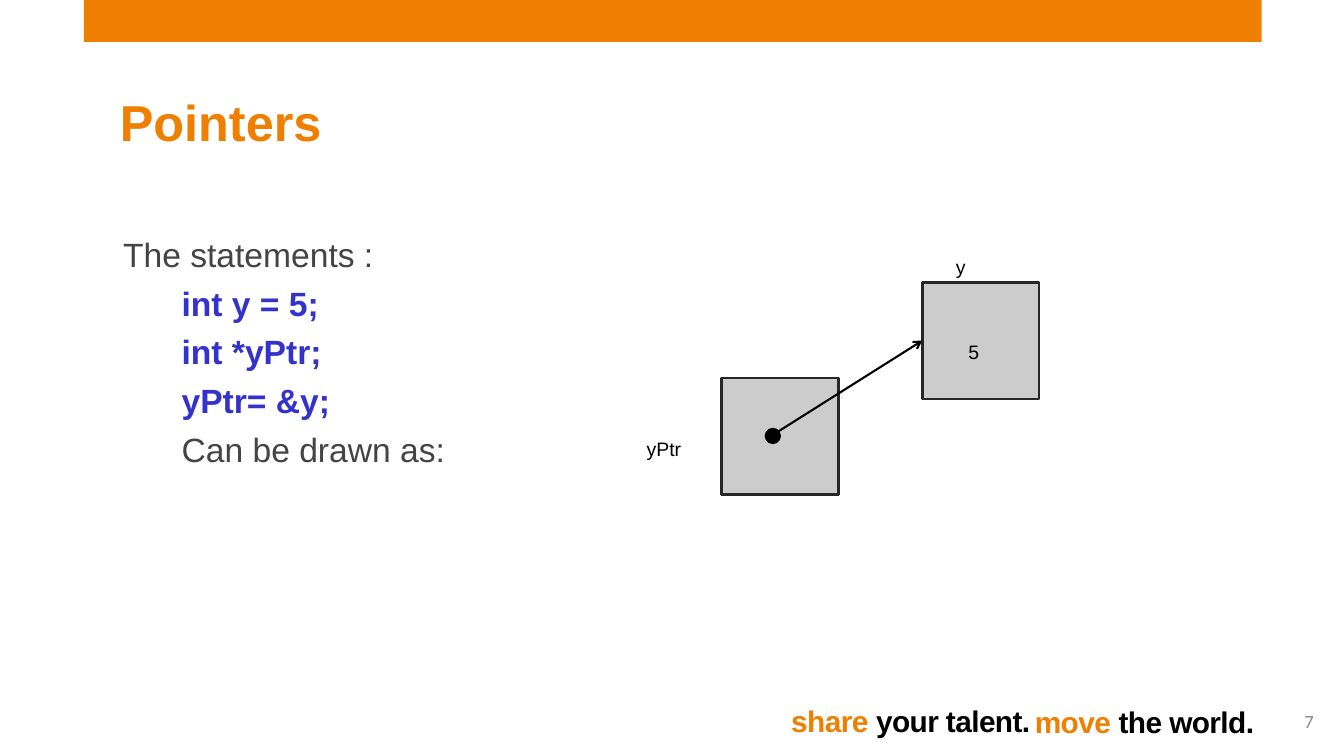
import pptx
import pptx.util
import pptx.dml.color
import pptx.enum.shapes
import pptx.enum.text
import pptx.oxml.ns
import lxml.etree

# Content: places are (left, top, width, height) on a grid of 160 columns by 90 rows
COLUMNS, ROWS = 160, 90
ORANGE, BLACK, GREY, BLUE = "EE7F00", "000000", "444444", "3333CC"

BAR = (10, 0, 140.2, 5)
TITLE = ("Pointers", (13.1, 10.1, 136.2, 8.5))
STATEMENTS_PLACE = (13.1, 27, 137.5, 53.9)
STATEMENTS = [  # text, indent in inches, colour, bold
    ("The statements :", 0, GREY, False),
    ("int y = 5;", 0.58, BLUE, True),
    ("int *yPtr;", 0.58, BLUE, True),
    ("yPtr= &y;", 0.58, BLUE, True),
    ("Can be drawn as:", 0.58, GREY, False),
]
TAGLINES = [
    ("share ", "your talent.", (94.2, 82.9, 30, 5)),
    ("move ", "the world.", (123.2, 82.9, 27.4, 5.1)),
]
CELL = 13.9
POINTER_CELL = (85.9, 45, CELL, CELL)
VALUE_CELL = (109.8, 33.6, CELL, CELL)
DOT = (91.2, 51.1, 1.6, 1.6)
ARROW_START = (92.6, 51.4)
LABELS = [
    ("yPtr", (75.8, 48.7, 7.2, 4.4)),
    ("y", (112.6, 27.1, 3.7, 4.4)),
    ("5", (114.1, 37.2, 4, 4.4)),
]
PAGE = ("7", (150.6, 83.4, 5.8, 4.8))

deck = pptx.Presentation()
deck.slide_width = pptx.util.Inches(13.33)
deck.slide_height = pptx.util.Inches(7.5)
slide = deck.slides.add_slide(deck.slide_layouts[6])

ANCHOR = pptx.enum.text.MSO_ANCHOR
SHAPE = pptx.enum.shapes.MSO_SHAPE


def color(value):
    return pptx.dml.color.RGBColor.from_string(value)


def place(box):
    """Turn grid columns and rows into slide lengths."""
    units = (deck.slide_width / COLUMNS, deck.slide_height / ROWS)
    return [round(length * units[i % 2]) for i, length in enumerate(box)]


def add_block(kind, box, fill, line=None):
    block = slide.shapes.add_shape(kind, *place(box))
    block.shadow.inherit = False
    block.fill.solid()
    block.fill.fore_color.rgb = color(fill)
    if line:
        block.line.color.rgb = color(line)
        block.line.width = pptx.util.Pt(2)
    else:
        block.line.fill.background()
    return block


def add_text(box, anchor=ANCHOR.TOP, insets=(0.1, 0.05), wrap=True):
    frame = slide.shapes.add_textbox(*place(box)).text_frame
    frame.word_wrap = wrap
    frame.vertical_anchor = anchor
    frame.margin_left = frame.margin_right = pptx.util.Inches(insets[0])
    frame.margin_top = frame.margin_bottom = pptx.util.Inches(insets[1])
    return frame


def add_run(paragraph, text, size, fill, bold=False, font="Arial", **attributes):
    run = paragraph.add_run()
    run.text = text
    run.font.size = pptx.util.Pt(size)
    run.font.name = font
    run.font.bold = bold
    run.font.color.rgb = color(fill)
    for key, value in attributes.items():
        run.font._element.set(key, value)


# Tagline and top bar
for verb, rest, box in TAGLINES:
    words = add_text(box, ANCHOR.BOTTOM, (0, 0)).paragraphs[0]
    words.line_spacing = pptx.util.Pt(24)
    add_run(words, verb, 21.3, ORANGE, True, spc="-40")
    add_run(words, rest, 21.3, BLACK, True, spc="-40")
add_block(SHAPE.RECTANGLE, BAR, ORANGE)

# Title and statements
heading, box = TITLE
add_run(add_text(box, ANCHOR.BOTTOM).paragraphs[0], heading, 36, ORANGE, True)

statements = add_text(STATEMENTS_PLACE, insets=(0.13, 0.07))
for i, (text, indent, fill, bold) in enumerate(STATEMENTS):
    statement = statements.add_paragraph() if i else statements.paragraphs[0]
    statement.space_before = pptx.util.Pt(6)
    properties = statement._p.get_or_add_pPr()
    properties.set("marL", str(pptx.util.Inches(indent)))
    properties.set("indent", "0")
    add_run(statement, text, 24, fill, bold)

# Memory cells with their labels
add_block(SHAPE.RECTANGLE, POINTER_CELL, "CCCCCC", "262626")
add_block(SHAPE.OVAL, DOT, BLACK, BLACK)
value_cell = add_block(SHAPE.RECTANGLE, VALUE_CELL, "CCCCCC", "262626")
for text, box in LABELS:
    label = add_text(box, wrap=False)
    label.auto_size = pptx.enum.text.MSO_AUTO_SIZE.SHAPE_TO_FIT_TEXT
    add_run(label.paragraphs[0], text, 24, BLACK, baseline="-25000")

# Arrow from the pointer to the value
start = place(ARROW_START)
arrow = slide.shapes.add_connector(
    pptx.enum.shapes.MSO_CONNECTOR.STRAIGHT, *start, *start)
arrow.end_connect(value_cell, 1)
arrow.line.color.rgb = color(BLACK)
arrow.line.width = pptx.util.Pt(1.5)
qn = pptx.oxml.ns.qn
lxml.etree.SubElement(arrow.line._get_or_add_ln(), qn("a:tailEnd"), type="arrow")
lxml.etree.SubElement(arrow._element.spPr, qn("a:effectLst"))

# Page number
number, box = PAGE
page = add_text(box, ANCHOR.MIDDLE, (0, 0)).paragraphs[0]
page.alignment = pptx.enum.text.PP_ALIGN.RIGHT
add_run(page, number, 13.3, "898989", font="Calibri")

deck.save("out.pptx")
